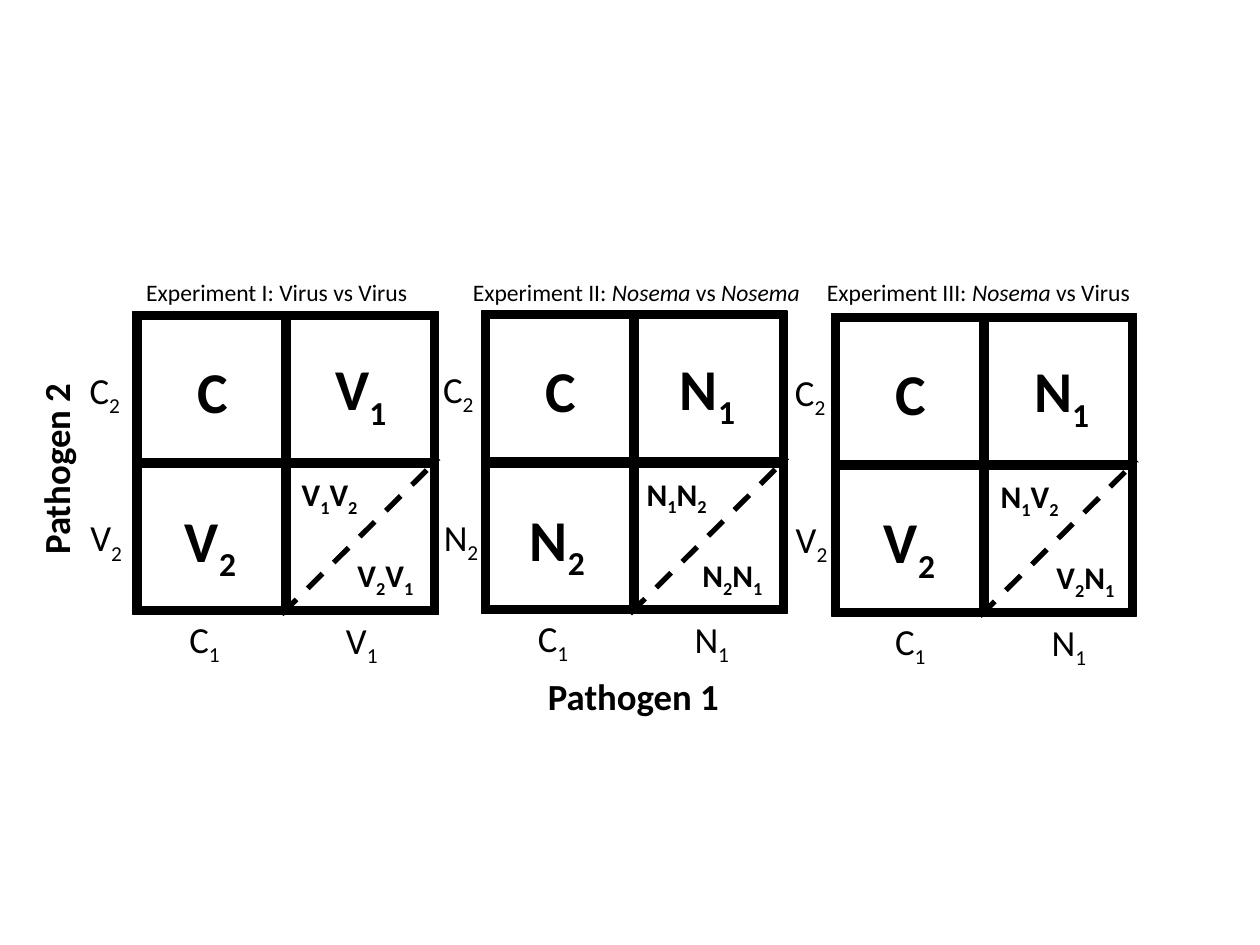
import itertools

import pptx
import pptx.dml.color
import pptx.enum.dml
import pptx.enum.shapes
import pptx.enum.text
import pptx.oxml
import pptx.util
from pptx.util import Cm

COLORS = {"ink": "000000", "paper": "FFFFFF"}
TILE = (4.22, 4.19)
STEP = (3.99, 3.94)
INSET = 0.25

STYLES = {
    "heading": {"size": 18, "bold": False},
    "level": {"size": 28, "bold": False},
    "axis": {"size": 28, "bold": True},
    "treatment": {"size": 44, "bold": True},
    "order": {"size": 24, "bold": True},
}
INDENTS = {"treatment": 0.35, "order": 0.19}

EXPERIMENTS = [
    {"origin": (3.58, 8.38), "heading": "Experiment I: Virus vs Virus",
     "first": "V", "second": "V", "heading_x": 0.1,
     "cell_shift": 0, "column_shift": 0, "row_shift": 0},
    {"origin": (12.95, 8.36), "heading": "Experiment II: *Nosema* vs *Nosema*",
     "first": "N", "second": "N", "heading_x": -0.49,
     "cell_shift": -0.1, "column_shift": 0, "row_shift": 0.13},
    {"origin": (22.35, 8.43), "heading": "Experiment III: *Nosema* vs Virus",
     "first": "N", "second": "V", "heading_x": -0.37,
     "cell_shift": 0.02, "column_shift": 0.2, "row_shift": 0.19},
]


def ink(name):
    """Return the named colour."""
    return pptx.dml.color.RGBColor.from_string(COLORS[name])


def symbol(label):
    """Split a treatment symbol into runs with subscript digits."""
    return [("".join(part), {"subscript": digit})
            for digit, part in itertools.groupby(label, str.isdigit)]


def species(heading):
    """Split a heading into runs, italic between asterisks."""
    return [(part, {"italic": bool(order % 2)})
            for order, part in enumerate(heading.split("*")) if part]


def add_text(slide, box, runs, style, rotation=0):
    """Write styled runs in a text box at left, top, width, height."""
    label = slide.shapes.add_textbox(*map(Cm, box))
    label.rotation = rotation
    frame_format = {
        "word_wrap": True,
        "auto_size": pptx.enum.text.MSO_AUTO_SIZE.SHAPE_TO_FIT_TEXT,
        "margin_left": Cm(INSET + INDENTS.get(style, 0)),
    }
    for name, value in frame_format.items():
        setattr(label.text_frame, name, value)
    for words, extra in runs:
        run = label.text_frame.paragraphs[0].add_run()
        run.text = words
        font_format = {
            "name": "Calibri",
            "size": pptx.util.Pt(STYLES[style]["size"]),
            "bold": STYLES[style]["bold"],
            "italic": extra.get("italic", False),
        }
        for name, value in font_format.items():
            setattr(run.font, name, value)
        run.font.color.rgb = ink("ink")
        if extra.get("subscript"):
            run.font._element.set("baseline", "-25000")


def add_tile(slide, left, top):
    """Draw one square frame of a treatment grid."""
    tile = slide.shapes.add_shape(pptx.enum.shapes.MSO_SHAPE.FRAME,
                                  *map(Cm, (left, top, *TILE)))
    tile.adjustments[0] = 0.05
    tile.shadow.inherit = False
    tile.fill.solid()
    tile.fill.fore_color.rgb = ink("ink")
    tile.line.color.rgb = ink("ink")
    tile.line.width = pptx.util.Pt(1)


def add_diagonal(slide, left, top):
    """Split a tile from bottom left to top right with a dashed line."""
    diagonal = slide.shapes.add_connector(
        pptx.enum.shapes.MSO_CONNECTOR.STRAIGHT,
        *map(Cm, (left, top + TILE[1], left + TILE[0], top)))
    diagonal.line.color.rgb = ink("ink")
    diagonal.line.width = pptx.util.Pt(4)
    diagonal.line.dash_style = pptx.enum.dml.MSO_LINE.DASH
    diagonal._element.spPr.append(pptx.oxml.parse_xml(
        '<a:effectLst xmlns:a="http://schemas.openxmlformats.org/drawingml/2006/main"/>'))


def add_experiment(slide, experiment):
    """Draw one two-by-two experiment with its heading and labels."""
    left, top = experiment["origin"]
    for row, column in itertools.product(range(2), repeat=2):
        add_tile(slide, left + column * STEP[0], top + row * STEP[1])
    add_diagonal(slide, left + STEP[0], top + STEP[1])
    add_text(slide, (left + experiment["heading_x"], 7.34, 10, 1.02),
             species(experiment["heading"]), "heading")

    first, second = experiment["first"] + "1", experiment["second"] + "2"
    cell, column, row = (experiment[key] for key in
                         ("cell_shift", "column_shift", "row_shift"))
    labels = [
        ("C", "treatment", 1.12, 1.06, 1.78, 2.13),
        (first, "treatment", 4.83 + cell, 0.99, 2.69, 2.13),
        (second, "treatment", 0.79 + cell, 5.05, 2.69, 2.13),
        (first + second, "order", 4.09 + cell, 4.27, 2.57, 1.27),
        (second + first, "order", 5.59 + cell, 6.45, 2.57, 1.27),
        ("C1", "level", 1.26 + column, 8.07, 1.78, 1.45),
        (first, "level", 5.47 + column, 8.1, 1.78, 1.45),
        ("C2", "level", -1.42 + row, 1.38, 1.78, 1.45),
        (second, "level", -1.4 + row, 5.34, 1.78, 1.45),
    ]
    for label, style, x, y, width, height in labels:
        add_text(slide, (left + x, top + y, width, height), symbol(label), style)


def add_axes(slide):
    """Name the two axes shared by the experiments."""
    add_text(slide, (14.48, 17.98, 5.74, 1.45), [("Pathogen 1", {})], "axis")
    add_text(slide, (-1.37, 11.56, 5.74, 1.45), [("Pathogen 2", {})], "axis", 270)


def main():
    """Build the slide and save it."""
    deck = pptx.Presentation()
    deck.slide_width, deck.slide_height = Cm(33.87), Cm(25.4)
    slide = deck.slides.add_slide(deck.slide_layouts[6])
    slide.background.fill.solid()
    slide.background.fill.fore_color.rgb = ink("paper")
    for experiment in EXPERIMENTS:
        add_experiment(slide, experiment)
    add_axes(slide)
    deck.save("out.pptx")


if __name__ == "__main__":
    main()
